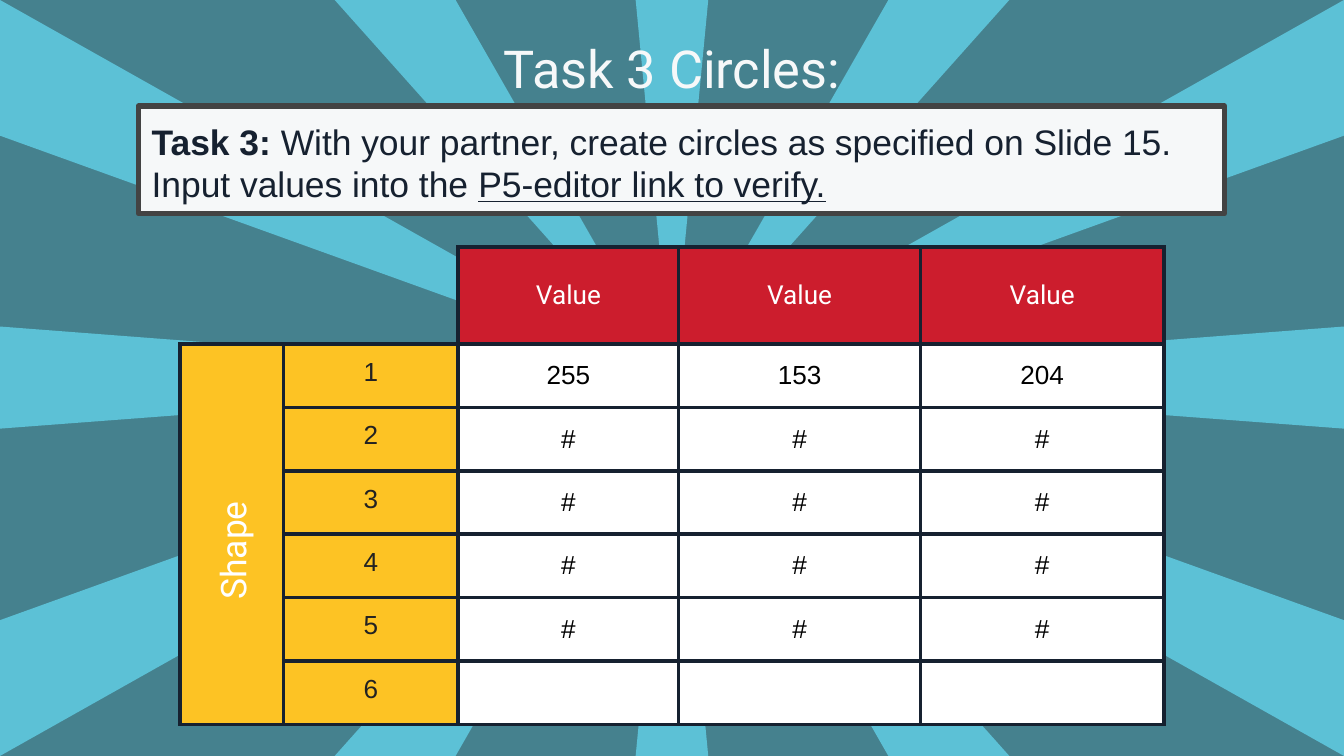
from typing import NamedTuple, Optional

from lxml import etree
from pptx import Presentation
from pptx.dml.color import RGBColor
from pptx.enum import shapes, text
from pptx.oxml import ns
from pptx.util import Inches, Pt

TEAL = RGBColor(0x45, 0x81, 0x8E)
SKY = RGBColor(0x5C, 0xC1, 0xD6)
PALE = RGBColor(0xF6, 0xF8, 0xF9)
NAVY = RGBColor(0x16, 0x21, 0x30)
GREY = RGBColor(0x43, 0x43, 0x43)
RED = RGBColor(0xCC, 0x1D, 0x2D)
YELLOW = RGBColor(0xFD, 0xC3, 0x24)
CHARCOAL = RGBColor(0x22, 0x22, 0x22)
WHITE = RGBColor(0xFF, 0xFF, 0xFF)
BLACK = RGBColor(0, 0, 0)

WIDTH = 10
HEIGHT = WIDTH * 9 / 16
CENTER = (WIDTH / 2, HEIGHT / 2)
MARGIN = Inches(0.1)


class Ray(NamedTuple):
    start: tuple[float, float]
    end: tuple[float, float]

    def mirrored(self, flip_x: bool, flip_y: bool) -> "Ray":
        return Ray(*((WIDTH - x if flip_x else x, HEIGHT - y if flip_y else y)
                     for x, y in self))


class CellStyle(NamedTuple):
    fill: Optional[RGBColor]
    color: RGBColor
    font: str = "Arial"
    anchor: text.MSO_ANCHOR = text.MSO_ANCHOR.MIDDLE
    borders: str = "LRTB"


HEADER = CellStyle(RED, WHITE, "Roboto")
NUMBER = CellStyle(YELLOW, CHARCOAL, anchor=text.MSO_ANCHOR.TOP)
VALUE = CellStyle(WHITE, BLACK)
CORNER = CellStyle(None, BLACK, borders="RB")


def draw_ray(slide, ray: Ray) -> None:
    start, center, end = (tuple(map(Inches, point))
                          for point in (ray.start, CENTER, ray.end))
    builder = slide.shapes.build_freeform(*start)
    builder.add_line_segments([center, end], close=True)
    beam = builder.convert_to_shape()
    beam.shadow.inherit = False
    beam.fill.solid()
    beam.fill.fore_color.rgb = SKY
    beam.line.fill.background()


def set_margins(frame) -> None:
    frame.margin_left = frame.margin_right = MARGIN
    frame.margin_top = frame.margin_bottom = MARGIN


def set_font(paragraph, size: float, name: str, color: RGBColor) -> None:
    paragraph.font.size = Pt(size)
    paragraph.font.name = name
    paragraph.font.color.rgb = color


def add_label(slide, left: float, top: float, width: float, height: float,
              words: str, size: float, color: RGBColor, align: text.PP_ALIGN):
    label = slide.shapes.add_textbox(*map(Inches, (left, top, width, height)))
    frame = label.text_frame
    frame.word_wrap = True
    set_margins(frame)
    paragraph = frame.paragraphs[0]
    paragraph.text = words
    paragraph.alignment = align
    set_font(paragraph, size, "Roboto", color)
    return label


def style_cell(cell, words: str, style: CellStyle) -> None:
    properties = cell._tc.get_or_add_tcPr()
    for side in "LRTB":
        line = etree.SubElement(properties, ns.qn(f"a:ln{side}"), w=str(Pt(2.25)))
        if side in style.borders:
            paint = etree.SubElement(line, ns.qn("a:solidFill"))
            etree.SubElement(paint, ns.qn("a:srgbClr"), val=str(NAVY))
        else:
            etree.SubElement(line, ns.qn("a:noFill"))
    if style.fill is None:
        cell.fill.background()
    else:
        cell.fill.solid()
        cell.fill.fore_color.rgb = style.fill
    set_margins(cell)
    cell.vertical_anchor = style.anchor
    paragraph = cell.text_frame.paragraphs[0]
    paragraph.text = words
    paragraph.alignment = text.PP_ALIGN.CENTER
    set_font(paragraph, 14, style.font, style.color)


def add_value_table(slide) -> None:
    columns = [0.77, 1.3, 1.64, 1.8, 1.81]
    rows = [0.72] + [2.83 / 6] * 6
    table = slide.shapes.add_table(
        len(rows), len(columns), Inches(1.34), Inches(1.84),
        Inches(sum(columns)), Inches(sum(rows))).table
    table.first_row = table.horz_banding = False
    for column, width in zip(table.columns, columns):
        column.width = Inches(width)
    for row, height in zip(table.rows, rows):
        row.height = Inches(height)

    values = [["255", "153", "204"]] + [["#"] * 3] * 4 + [[""] * 3]
    grid = [[("", CORNER)] * 2 + [("Value", HEADER)] * 3]
    for number, trio in enumerate(values, 1):
        grid.append([("", NUMBER), (str(number), NUMBER)]
                    + [(value, VALUE) for value in trio])
    for r, line in enumerate(grid):
        for c, (words, style) in enumerate(line):
            style_cell(table.cell(r, c), words, style)
    table.cell(0, 0).merge(table.cell(0, 1))
    table.cell(1, 0).merge(table.cell(6, 0))


def add_task_box(slide) -> None:
    box = slide.shapes.add_shape(
        shapes.MSO_SHAPE.RECTANGLE, *map(Inches, (1.03, 0.79, 8.08, 0.8)))
    box.shadow.inherit = False
    box.fill.solid()
    box.fill.fore_color.rgb = PALE
    box.line.color.rgb = GREY
    box.line.width = Pt(3)
    etree.SubElement(box.line._get_or_add_ln(), ns.qn("a:round"))
    frame = box.text_frame
    frame.word_wrap = True
    frame.vertical_anchor = text.MSO_ANCHOR.TOP
    set_margins(frame)
    task = frame.paragraphs[0]
    task.alignment = text.PP_ALIGN.LEFT
    set_font(task, 19, "Arial", NAVY)
    heading, instruction, link = (task.add_run() for _ in range(3))
    heading.text = "Task 3: "
    heading.font.bold = True
    instruction.text = ("With your partner, create circles as specified on "
                        "Slide 15. Input values into the ")
    link.text = "P5-editor link to verify."
    link.font.underline = True


def main() -> None:
    deck = Presentation()
    deck.slide_width, deck.slide_height = Inches(WIDTH), Inches(HEIGHT)
    slide = deck.slides.add_slide(deck.slide_layouts[6])

    # Sunburst background: a few rays mirrored about the centre
    slide.background.fill.solid()
    slide.background.fill.fore_color.rgb = TEAL
    upright = Ray((4.73, 0), (5.27, 0))
    level = Ray((0, 2.43), (0, 3.19))
    for flip in (False, True):
        draw_ray(slide, upright.mirrored(False, flip))
        draw_ray(slide, level.mirrored(flip, False))
        for slanted in (Ray((2.49, 0), (3.39, 0)), Ray((0, 0), (0, 1.01))):
            for flip_y in (False, True):
                draw_ray(slide, slanted.mirrored(flip, flip_y))

    # Title, table with its sideways row heading, and task
    add_label(slide, 1.38, 0.17, 7.24, 1.09, "Task 3 Circles:", 28, PALE,
              text.PP_ALIGN.CENTER)
    add_value_table(slide)
    row_heading = add_label(slide, 1.06, 3.63, 1.34, 0.52, "Shape", 19, WHITE,
                            text.PP_ALIGN.LEFT)
    row_heading.rotation = 270
    add_task_box(slide)

    deck.save("out.pptx")


if __name__ == "__main__":
    main()
